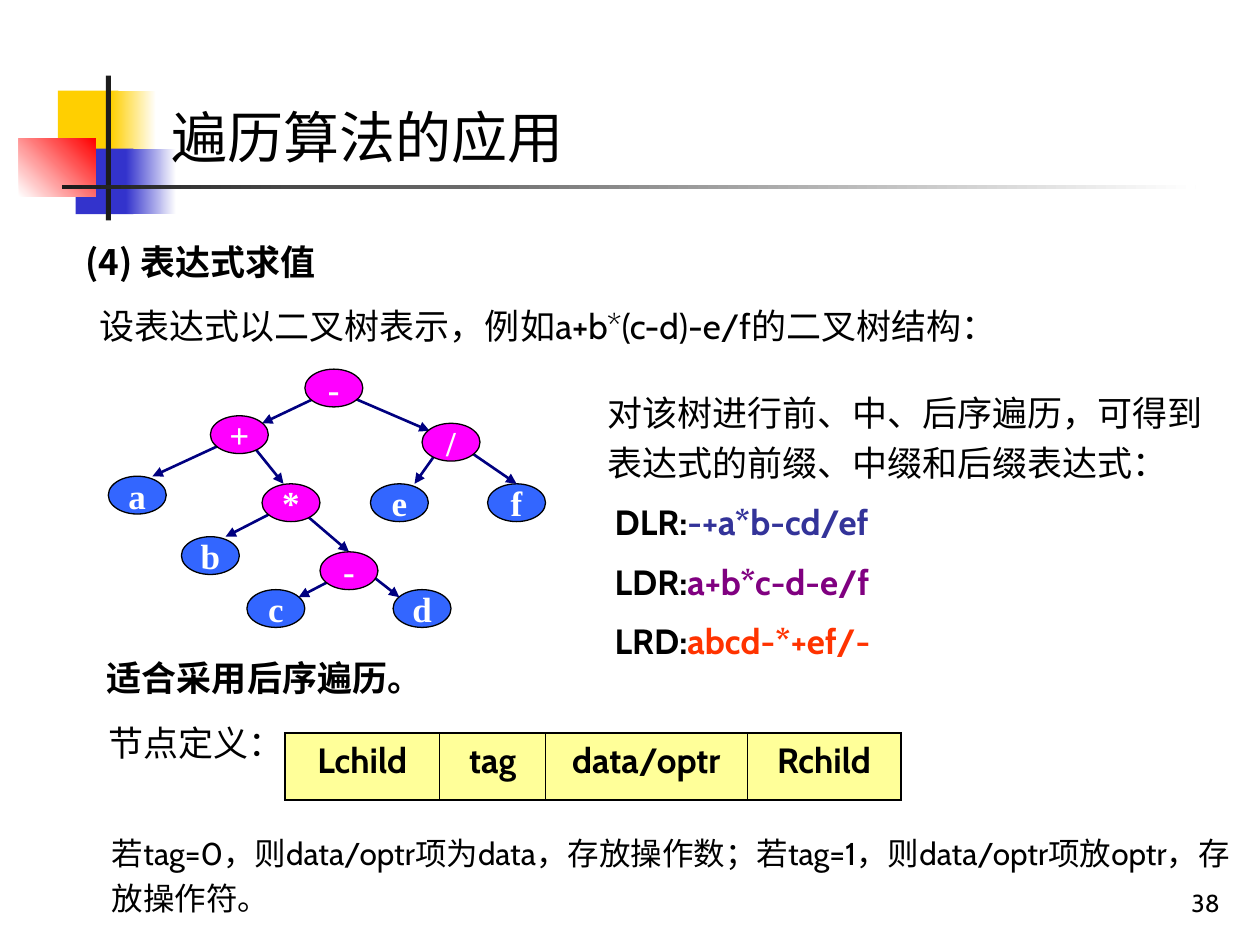
from lxml.etree import SubElement
from pptx import Presentation
from pptx.dml.color import RGBColor
from pptx.enum.shapes import MSO_CONNECTOR, MSO_SHAPE
from pptx.enum.text import MSO_ANCHOR, PP_ALIGN
from pptx.oxml.ns import qn
from pptx.util import Inches, Pt

BLACK, WHITE = "000000", "FFFFFF"
HEADING_FONT = "Noto Sans CJK SC"


def write(paragraph, text, size=20, color=BLACK, font="Cabin", bold=False,
          align=PP_ALIGN.LEFT, line_spacing=None):
    paragraph.alignment = align
    if line_spacing:
        paragraph.line_spacing = line_spacing
    run = paragraph.add_run()
    run.text = text
    run.font.size = Pt(size)
    run.font.bold = bold
    run.font.name = font
    run.font.color.rgb = RGBColor.from_string(color)
    SubElement(run.font._element, qn("a:ea"), typeface="Cabin")


def add_filled_shape(shapes, kind, left, top, width, height, color):
    shape = shapes.add_shape(kind, Inches(left), Inches(top), Inches(width), Inches(height))
    shape.shadow.inherit = False
    shape.fill.solid()
    shape.fill.fore_color.rgb = RGBColor.from_string(color)
    shape.line.fill.background()
    return shape


presentation = Presentation()
presentation.slide_width, presentation.slide_height = Inches(10), Inches(7.5)
slide = presentation.slides.add_slide(presentation.slide_layouts[5])

# Corner decoration: place, start colour, end colour (None is a plain fill), angle
decorations = [
    (0.46, 0.72, 0.48, 0.52, "FFCF01", None, 0),
    (0.88, 0.72, 0.36, 0.52, "FFCF01", WHITE, 0),
    (0.6, 1.18, 0.46, 0.52, "3333CC", None, 0),
    (1, 1.18, 0.4, 0.52, "3333CC", WHITE, 0),
    (0.15, 1.1, 0.61, 0.46, WHITE, "FF0000", 45),
    (0.84, 0.6, 0.04, 1.15, "1C1C1C", None, 0),
    (0.49, 1.47, 9, 0.03, "1C1C1C", WHITE, 0),
]
for left, top, width, height, start, end, angle in decorations:
    shape = add_filled_shape(slide.shapes, MSO_SHAPE.RECTANGLE, left, top, width, height, start)
    if end:
        shape.fill.gradient()
        shape.fill.gradient_angle = angle
        for stop, color in zip(shape.fill.gradient_stops, (start, end)):
            stop.color.rgb = RGBColor.from_string(color)

# Title, in front of the decoration
title = slide.shapes.title
title.left, title.top, title.width, title.height = (
    Inches(1.26), Inches(0.76), Inches(8.74), Inches(0.64))
title.text_frame.vertical_anchor = MSO_ANCHOR.TOP
write(title.text_frame.paragraphs[0], "遍历算法的应用", size=32, font="Noto Sans CJK JP")
title.element.getparent().append(title.element)

# Single-paragraph texts: place, anchor, runs
top_anchor, bottom_anchor = MSO_ANCHOR.TOP, MSO_ANCHOR.BOTTOM
texts = [
    (7.7, 6.83, 2.08, 0.5, bottom_anchor, [("38", dict(size=14, align=PP_ALIGN.RIGHT))]),
    (0.69, 2.37, 7.42, 0.44, top_anchor,
     [("设表达式以二叉树表示，例如a+b*(c-d)-e/f的二叉树结构：", {})]),
    (0.58, 1.86, 7.4, 0.44, top_anchor,
     [("(4) ", dict(font=HEADING_FONT, bold=True)), ("表达式求值", dict(bold=True))]),
    (0.75, 5.16, 3.26, 0.44, top_anchor,
     [("适合采用后序遍历。", dict(font=HEADING_FONT, bold=True))]),
    (0.76, 5.68, 1.69, 0.44, top_anchor, [("节点定义：", {})]),
    (0.79, 6.51, 9.21, 0.82, top_anchor,
     [("若tag=0，则data/optr项为data，存放操作数；若tag=1，则data/optr项放optr，存放操作符。",
       dict(size=18, line_spacing=1.2))]),
]
for left, top, width, height, anchor, runs in texts:
    box = slide.shapes.add_textbox(Inches(left), Inches(top), Inches(width), Inches(height))
    box.text_frame.word_wrap = True
    box.text_frame.vertical_anchor = anchor
    for text, text_format in runs:
        write(box.text_frame.paragraphs[0], text, **text_format)

# Expression tree: leaves, then arrows, then operators
tree = slide.shapes.add_group_shape()
leaves = [("a", 0.86, 3.78), ("b", 1.44, 4.26), ("c", 1.96, 4.68),
          ("d", 3.12, 4.68), ("e", 2.94, 3.84), ("f", 3.87, 3.84)]
operators = [("-", 2.42, 2.93), ("/", 3.35, 3.36), ("*", 2.08, 3.84),
             ("-", 2.54, 4.38), ("+", 1.67, 3.3)]
arrows = [
    (2.48, 3.17, 2.08, 3.36), (2.83, 3.17, 3.41, 3.42),
    (1.73, 3.54, 1.21, 3.78), (1.96, 3.48, 2.25, 3.84),
    (3.46, 3.6, 3.29, 3.84), (3.75, 3.6, 4.1, 3.84),
    (2.14, 4.08, 1.79, 4.26), (2.42, 4.08, 2.77, 4.38),
    (2.6, 4.62, 2.37, 4.74), (2.94, 4.56, 3.17, 4.74),
]
for nodes, color, outgoing in ((leaves, "3366FF", arrows), (operators, "FF00FF", [])):
    for label, left, top in nodes:
        node = add_filled_shape(tree.shapes, MSO_SHAPE.OVAL, left, top, 0.46, 0.3, color)
        node.line.color.rgb = RGBColor.from_string(BLACK)
        node.line.width = Pt(0.75)
        node.text_frame.word_wrap = False
        node.text_frame.vertical_anchor = MSO_ANCHOR.MIDDLE
        write(node.text_frame.paragraphs[0], label, color=WHITE, font="Times New Roman",
              bold=True, align=PP_ALIGN.CENTER)
    for coordinates in outgoing:
        arrow = tree.shapes.add_connector(MSO_CONNECTOR.STRAIGHT, *map(Inches, coordinates))
        arrow.line.color.rgb = RGBColor.from_string("000080")
        arrow.line.width = Pt(1.5)
        SubElement(arrow.line._get_or_add_ln(), qn("a:tailEnd"), type="triangle")
        SubElement(arrow.element.spPr, qn("a:effectLst"))

# Traversal results
box = slide.shapes.add_textbox(Inches(4.72), Inches(2.99), Inches(4.96), Inches(2.31))
frame = box.text_frame
frame.word_wrap = True
write(frame.paragraphs[0], "对该树进行前、中、后序遍历，可得到表达式的前缀、中缀和后缀表达式：",
      line_spacing=1.2)
for order, expression, color in (("DLR:", "-+a*b-cd/ef", "333399"),
                                 ("LDR:", "a+b*c-d-e/f", "800080"),
                                 ("LRD:", "abcd-*+ef/-", "FF3300")):
    paragraph = frame.add_paragraph()
    paragraph.space_before = Pt(5)
    paragraph._p.get_or_add_pPr().set("marL", str(Inches(0.06)))
    write(paragraph, order, bold=True, line_spacing=1.2)
    write(paragraph, expression, color=color, bold=True)

# Node definition table
fields = [("Lchild", 1.23), ("tag", 0.84), ("data/optr", 1.6), ("Rchild", 1.22)]
table = slide.shapes.add_table(1, len(fields), Inches(2.26), Inches(5.82),
                               Inches(4.89), Inches(0.53)).table
table.first_row = table.horz_banding = False
table.rows[0].height = Inches(0.53)
for index, (name, width) in enumerate(fields):
    table.columns[index].width = Inches(width)
    cell = table.cell(0, index)
    write(cell.text_frame.paragraphs[0], name, bold=True, align=PP_ALIGN.CENTER)
    borders = {"a:lnL": 1.08 if index == 0 else 0.45,
               "a:lnR": 1.08 if index == len(fields) - 1 else 0.45,
               "a:lnT": 1.08, "a:lnB": 1.08}
    for side, points in borders.items():
        line = SubElement(cell._tc.get_or_add_tcPr(), qn(side), w=str(Pt(points)))
        SubElement(SubElement(line, qn("a:solidFill")), qn("a:srgbClr"), val=BLACK)
    cell.fill.solid()
    cell.fill.fore_color.rgb = RGBColor.from_string("FFFF99")

presentation.save("out.pptx")
